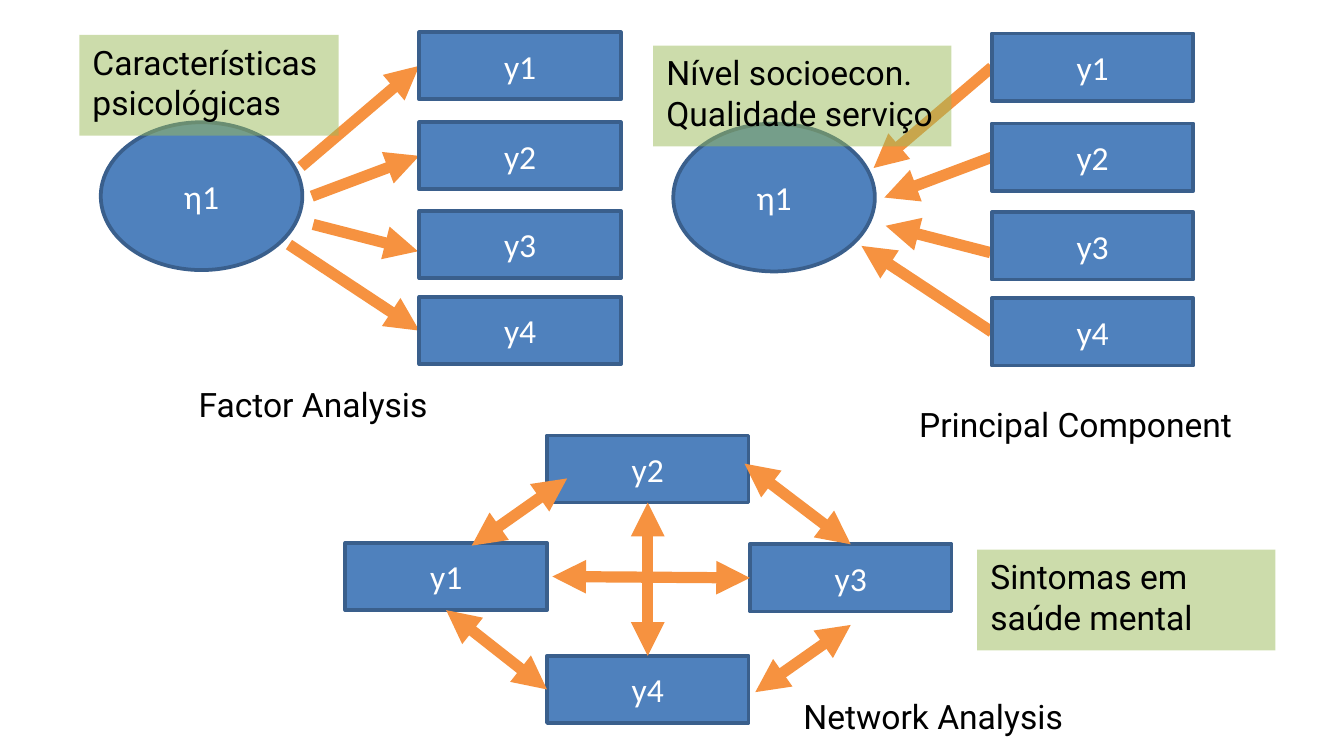
from lxml import etree
from pptx import Presentation
from pptx.dml.color import RGBColor
from pptx.enum.shapes import MSO_CONNECTOR, MSO_SHAPE
from pptx.enum.text import MSO_ANCHOR, PP_ALIGN
from pptx.oxml.ns import qn
from pptx.util import Inches, Pt

RECTANGLE, OVAL = MSO_SHAPE.RECTANGLE, MSO_SHAPE.OVAL
STRAIGHT = MSO_CONNECTOR.STRAIGHT
MIDDLE, TOP_ANCHOR = MSO_ANCHOR.MIDDLE, MSO_ANCHOR.TOP
CENTER, LEFT_ALIGN = PP_ALIGN.CENTER, PP_ALIGN.LEFT
TOP, LEFT, BOTTOM = 0, 1, 2

SLIDE_WIDTH = Inches(10)
SLIDE_HEIGHT = SLIDE_WIDTH * 9 // 16

COLORS = {"node": "4F81BD", "outline": "3A5F8C", "arrow": "F69240",
          "note": "9BBB59", "white": "FFFFFF", "black": "000000"}
BOX_SIZE = (1.5, 0.5)
LATENT = ("η1", 0.75, 0.91, 1.5, 1.1)
BOX_LEFT = 3.12

# Name, box top, arrow end near the ellipse, arrow end at the box, joined to box
INDICATORS = [
    ("y1", 0.24, (2.24, 1.24), (3.12, 0.49), True),
    ("y2", 0.91, (2.32, 1.46), (3.12, 1.16), True),
    ("y3", 1.57, (2.33, 1.67), (3.11, 1.87), False),
    ("y4", 2.21, (2.15, 1.82), (3.12, 2.46), True),
]
# Horizontal and vertical shift, whether arrows point at the ellipse
MODELS = [(0, 0, False), (4.26, 0.01, True)]

NETWORK_NODES = {"y2": (4.07, 3.24), "y3": (5.58, 4.05),
                 "y1": (2.57, 4.04), "y4": (4.07, 4.88)}
# Start, end, then the node and side joined at each of them
NETWORK_ARROWS = [
    ((3.51, 4.06), (4.22, 3.56), None, None),
    ((5.62, 5.15), (6.33, 4.65), None, None),
    ((5.54, 3.45), (6.33, 4.05), None, ("y3", TOP)),
    ((3.32, 4.54), (4.07, 5.13), ("y1", BOTTOM), ("y4", LEFT)),
    ((4.11, 4.29), (5.58, 4.30), None, ("y3", LEFT)),
    ((4.82, 3.74), (4.82, 4.88), ("y2", BOTTOM), ("y4", TOP)),
]

CAPTIONS = [
    ("Factor Analysis", 1.38, 2.81, 1.97, 0.4),
    ("Principal Component", 6.74, 2.96, 2.51, 0.4),
    ("Network Analysis", 5.88, 5.13, 2.51, 0.4),
]
# Paragraphs, each a list of lines, then left, top, width, height
NOTES = [
    ([["Características"], ["psicológicas"]], 0.59, 0.26, 1.93, 0.75),
    ([["Nível socioecon."], ["Qualidade serviço"]], 4.86, 0.34, 2.22, 0.75),
    ([["Sintomas em ", "saúde mental"]], 7.27, 4.09, 2.22, 0.75),
]


def color(name):
    return RGBColor.from_string(COLORS[name])


def write(shape, paragraphs, font, ink, align, anchor):
    frame = shape.text_frame
    frame.word_wrap = True
    frame.vertical_anchor = anchor
    if align == LEFT_ALIGN:
        frame.margin_right = 0
    for index, lines in enumerate(paragraphs):
        paragraph = frame.add_paragraph() if index else frame.paragraphs[0]
        paragraph.alignment = align
        for number, line in enumerate(lines):
            if number:
                paragraph.add_line_break()
            run = paragraph.add_run()
            run.text = line
            run.font.name = font
            run.font.size = Pt(18)
            run.font.color.rgb = color(ink)


def add_filled(slide, kind, bounds, fill):
    shape = slide.shapes.add_shape(kind, *map(Inches, bounds))
    shape.shadow.inherit = False
    shape.fill.solid()
    shape.fill.fore_color.rgb = color(fill)
    return shape


def add_node(slide, kind, name, *bounds):
    node = add_filled(slide, kind, bounds, "node")
    node.line.color.rgb = color("outline")
    node.line.width = Pt(2)
    write(node, [[name]], "Calibri", "white", CENTER, MIDDLE)
    return node


def add_arrow(slide, start, end, both_ends=False):
    arrow = slide.shapes.add_connector(STRAIGHT, *map(Inches, start + end))
    arrow.line.color.rgb = color("arrow")
    arrow.line.width = Pt(6)
    outline = arrow.line._get_or_add_ln()
    for tag in (["a:headEnd"] if both_ends else []) + ["a:tailEnd"]:
        etree.SubElement(outline, qn(tag), type="triangle")
    etree.SubElement(arrow._element.spPr, qn("a:effectLst"))
    return arrow


def add_model(slide, shift_x, shift_y, toward_latent):
    """Draw an ellipse, four boxes and the arrows between them."""
    name, left, top, width, height = LATENT
    add_node(slide, OVAL, name, left + shift_x, top + shift_y, width, height)
    for name, top, near_latent, near_box, joined in INDICATORS:
        ends = [(x + shift_x, y + shift_y) for x, y in (near_latent, near_box)]
        if toward_latent:
            ends.reverse()
        arrow = add_arrow(slide, *ends)
        box = add_node(slide, RECTANGLE, name, BOX_LEFT + shift_x, top + shift_y, *BOX_SIZE)
        if joined:
            connect = arrow.begin_connect if toward_latent else arrow.end_connect
            connect(box, LEFT)


def add_network(slide):
    nodes = {name: add_node(slide, RECTANGLE, name, *corner, *BOX_SIZE)
             for name, corner in NETWORK_NODES.items()}
    for start, end, start_joint, end_joint in NETWORK_ARROWS:
        arrow = add_arrow(slide, start, end, both_ends=True)
        for connect, joint in ((arrow.begin_connect, start_joint), (arrow.end_connect, end_joint)):
            if joint:
                name, side = joint
                connect(nodes[name], side)


def add_note(slide, paragraphs, *bounds):
    note = add_filled(slide, RECTANGLE, bounds, "note")
    note.line.fill.background()
    fill_color = note._element.spPr.find(qn("a:solidFill"))[0]
    etree.SubElement(fill_color, qn("a:alpha"), val="50000")
    write(note, paragraphs, "Roboto", "black", LEFT_ALIGN, TOP_ANCHOR)


def main():
    presentation = Presentation()
    presentation.slide_width = SLIDE_WIDTH
    presentation.slide_height = SLIDE_HEIGHT
    slide = presentation.slides.add_slide(presentation.slide_layouts[6])
    for model in MODELS:
        add_model(slide, *model)
    add_network(slide)
    for caption, *bounds in CAPTIONS:
        box = slide.shapes.add_textbox(*map(Inches, bounds))
        write(box, [[caption]], "Roboto", "black", LEFT_ALIGN, TOP_ANCHOR)
    for note in NOTES:
        add_note(slide, *note)
    presentation.save("out.pptx")


if __name__ == "__main__":
    main()
